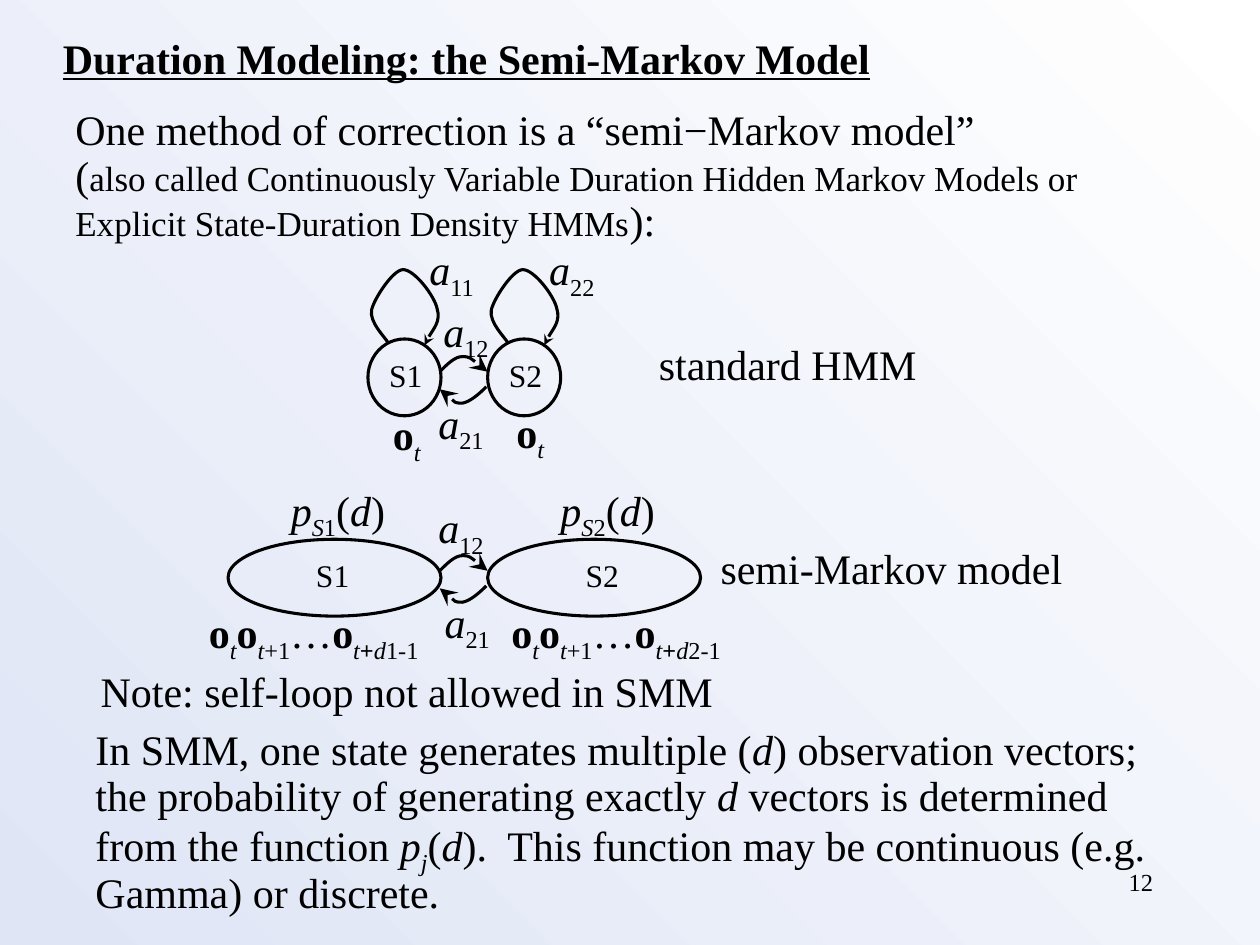
from lxml.etree import SubElement
from pptx import Presentation
from pptx.dml.color import RGBColor
from pptx.enum.shapes import MSO_SHAPE
from pptx.enum.text import MSO_ANCHOR, MSO_AUTO_SIZE, PP_ALIGN
from pptx.oxml.ns import qn
from pptx.util import Inches, Pt

FONT = "Times New Roman"
INK = "000000"


def color(target, value):
    """Give a colour format a hex colour."""
    target.rgb = RGBColor.from_string(value)


def add_run(p, words, style="", size=24):
    """Add a run; style letters are b bold, i italic, u underline, _ subscript."""
    r = p.add_run()
    r.text = words
    font = r.font
    font.name, font.size = FONT, Pt(size)
    font.bold, font.italic, font.underline = (c in style for c in "biu")
    color(font.color, INK)
    if "_" in style:
        font._element.set("baseline", "-25000")


def add_text(shapes, box, *paragraphs, wrap=False, align=None, spacing=0.9, grow=True):
    """Write paragraphs, each a list of run tuples or None for a line break."""
    sp = shapes.add_textbox(*map(Inches, box))
    tf = sp.text_frame
    tf.word_wrap = wrap
    tf.auto_size = MSO_AUTO_SIZE.SHAPE_TO_FIT_TEXT if grow else MSO_AUTO_SIZE.NONE
    for i, runs in enumerate(paragraphs):
        p = tf.add_paragraph() if i else tf.paragraphs[0]
        p.line_spacing, p.alignment = spacing, align
        for run in runs:
            if run is None:
                p.add_line_break()
            else:
                add_run(p, *run)
    return sp


def outline(sp):
    """Leave a shape with a plain black outline only."""
    sp.shadow.inherit = False
    sp.fill.background()
    color(sp.line.color, INK)
    sp.line.width = Pt(1.75)


def add_state(shapes, box, name, label_x):
    """Draw a state ellipse with its name."""
    outline(shapes.add_shape(MSO_SHAPE.OVAL, *map(Inches, box)))
    label = (label_x, box[1] + 0.12, 0.5, 0.37)
    sp = add_text(shapes, label, [(name, "", 18)], align=PP_ALIGN.CENTER)
    sp.text_frame.vertical_anchor = MSO_ANCHOR.MIDDLE


def add_curve(shapes, x, y, points, arrow_end="tailEnd", arrow_size="med"):
    """Draw a cubic curve through points given relative to x, y."""
    start, *rest = [(Inches(x + dx), Inches(y + dy)) for dx, dy in points]
    builder = shapes.build_freeform(*start)
    builder.add_line_segments(rest, close=False)
    sp = builder.convert_to_shape()
    outline(sp)
    path = next(sp._element.iter(qn("a:path")))
    segments = path.findall(qn("a:lnTo"))
    for i in range(0, len(segments), 3):
        cubic = SubElement(path, qn("a:cubicBezTo"))
        for segment in segments[i:i + 3]:
            cubic.append(segment[0])
            path.remove(segment)
    SubElement(sp.line._get_or_add_ln(), qn(f"a:{arrow_end}"),
               type="stealth", w=arrow_size, len=arrow_size)


def add_self_loop(shapes, x, y):
    """Draw the loop from a state back to itself."""
    add_curve(shapes, x, y, [
        (0.15, 0.58), (0.13, 0.54), (0, 0.42), (0.02, 0.32),
        (0.04, 0.23), (0.19, 0), (0.27, 0),
        (0.36, 0), (0.52, 0.21), (0.54, 0.31),
        (0.57, 0.41), (0.46, 0.54), (0.44, 0.6)])


def add_exchange(shapes, x, y):
    """Draw the two arrows between neighbouring states."""
    add_curve(shapes, x, y, [(0, 0.12), (0.06, 0.06), (0.12, 0), (0.18, 0),
                             (0.24, 0), (0.31, 0.06), (0.38, 0.12)], "tailEnd", "lg")
    add_curve(shapes, x, y, [(0, 0.26), (0.06, 0.31), (0.11, 0.37), (0.18, 0.37),
                             (0.24, 0.36), (0.31, 0.3), (0.37, 0.24)], "headEnd", "lg")


def add_transition(shapes, x, y, index):
    """Label a transition probability."""
    add_text(shapes, (x, y, 0.79, 0.51), [("a", "i"), (index, "_")], wrap=True)


def standard_hmm(shapes, x, y):
    """Draw the two-state HMM with self-loops."""
    group = shapes.add_group_shape().shapes
    for i, (dx, dy) in enumerate([(0.1, 1.31), (1.08, 1.29)], 1):
        left = x + 0.95 * (i - 1)
        add_state(group, (left, y + 0.8, 0.58, 0.61), f"S{i}", left + 0.05)
        add_self_loop(group, left + 0.01, y + 0.25)
        add_transition(shapes, left + 0.39, y, f"{i}{i}")
        add_text(shapes, (x + dx, y + dy, 0.53, 0.51),
                 [("o", "b"), ("t", "i_")], wrap=True)
    add_exchange(group, x + 0.57, y + 0.94)
    add_transition(shapes, x + 0.5, y + 0.49, "12")
    add_transition(shapes, x + 0.46, y + 1.22, "21")
    add_text(shapes, (x + 2.21, y + 0.79, 2.28, 0.46), [("standard HMM",)])


def semi_markov(shapes, x, y):
    """Draw the two-state semi-Markov model with duration densities."""
    columns = [(0.25, 0.65, 0.83, 0, 2.1), (2.31, 2.79, 2.97, 2.4, 2.96)]
    for i, (oval, density, label, vectors, width) in enumerate(columns, 1):
        add_state(shapes, (x + oval, y + 0.48, 1.69, 0.61), f"S{i}", x + label)
        add_text(shapes, (x + density, y, 1.26, 0.51),
                 [("p", "i"), ("S", "i_"), (str(i), "_"), ("(",), ("d", "i"), (")",)],
                 wrap=True)
        add_text(shapes, (x + vectors, y + 0.97, width, 0.51),
                 [("o", "b"), ("t", "i_"), ("o", "b"), ("t", "i_"), ("+1", "_"),
                  ("…",), ("o", "b"), ("t", "i_"), ("+", "b_"), ("d", "i_"),
                  (f"{i}-1", "_")], wrap=True)
    add_exchange(shapes, x + 1.93, y + 0.61)
    add_transition(shapes, x + 1.82, y + 0.14, "12")
    add_transition(shapes, x + 1.87, y + 0.89, "21")
    add_text(shapes, (x + 4.06, y + 0.5, 2.95, 0.46), [("semi-Markov model",)])


def heading(shapes, x, y):
    """Write the title and the introduction."""
    add_text(shapes, (x, y, 6.65, 0.5),
             [("Duration Modeling: the Semi-Markov Model", "bu")], spacing=1.0)
    add_text(shapes, (x + 0.1, y + 0.61, 8.3, 1.18),
             [("One method of correction is a “semi−Markov model”",), None, ("(",),
              ("also called Continuously Variable Duration Hidden Markov Models or", "", 20)],
             [("Explicit State-Duration Density HMMs", "", 20), ("):",)])


def remarks(shapes, x, y):
    """Write the note, the explanation and the slide number."""
    add_text(shapes, (x + 0.04, y, 5.1, 0.46), [("Note: self-loop not allowed in SMM",)])
    add_text(shapes, (x, y + 0.46, 8.74, 1.59),
             [("In SMM, one state generates multiple (",), ("d", "i"),
              (") observation vectors;",)],
             [("the probability of generating exactly ",), ("d", "i"),
              (" vectors is determined",), None, ("from the function ",), ("p", "i"),
              ("j", "i_"), ("(",), ("d", "i"),
              (").  This function may be continuous (e.g. Gamma) or discrete.",)],
             wrap=True)
    add_text(shapes, (x + 6.51, y + 1.55, 2.08, 0.5), [("12", "", 14)],
             wrap=True, align=PP_ALIGN.RIGHT, spacing=1.0, grow=False)


def main():
    """Build and save the slide."""
    prs = Presentation()
    prs.slide_width, prs.slide_height = Inches(10), Inches(7.5)
    s = prs.slides.add_slide(prs.slide_layouts[6])
    fill = s.background.fill
    fill.gradient()
    fill.gradient_angle = 225
    for stop, value in zip(fill.gradient_stops, ("FFFFFF", "DFE5F5")):
        color(stop.color, value)
    heading(s.shapes, 0.4, 0.21)
    standard_hmm(s.shapes, 2.92, 1.89)
    semi_markov(s.shapes, 1.56, 3.8)
    remarks(s.shapes, 0.66, 5.28)
    prs.save("out.pptx")


if __name__ == "__main__":
    main()
